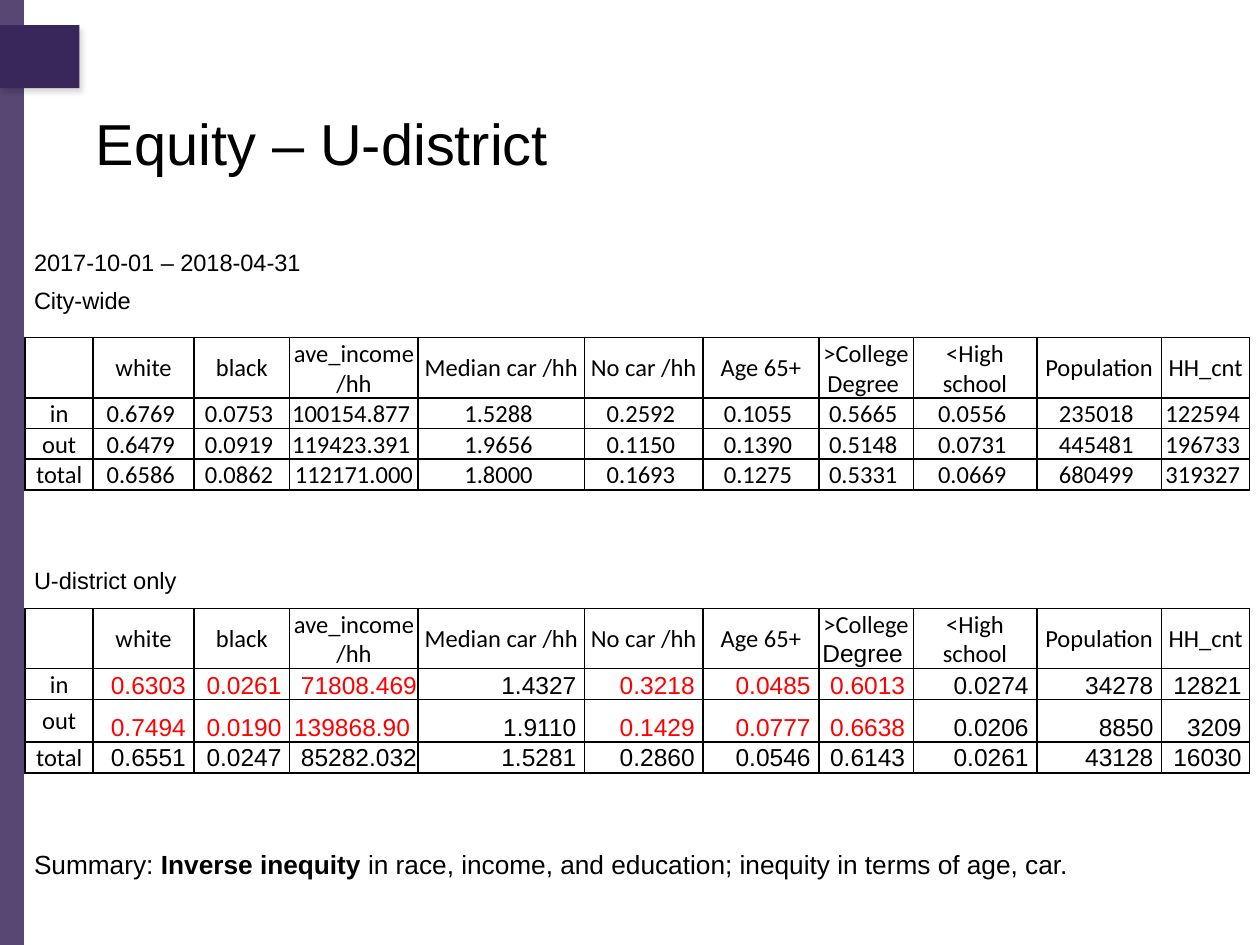
from lxml import etree
from pptx import Presentation
from pptx.dml.color import RGBColor
from pptx.enum import shapes, text
from pptx.oxml import ns
from pptx.util import Inches, Pt

BLACK, RED, PURPLE = "000000", "FF0000", "39275B"
LEFT, MID, RIGHT = text.PP_ALIGN.LEFT, text.PP_ALIGN.CENTER, text.PP_ALIGN.RIGHT
CENTRE, BASE = text.MSO_ANCHOR.MIDDLE, text.MSO_ANCHOR.BOTTOM

COLS = [0.54, 0.8, 0.76, 1.02, 1.32, 0.94, 0.92, 0.75, 0.98, 0.99, 0.7]
HEAD = ["", "white", "black", "ave_income /hh", "Median car /hh", "No car /hh",
        "Age 65+", ">College\nDegree ", "<High school", "Population", "HH_cnt"]
# The space after a figure keeps it off the cell's edge
CITY = [
    "in|0.6769 |0.0753 |100154.877 |1.5288 |0.2592 |0.1055 |0.5665 |0.0556 |235018 |122594 ",
    "out|0.6479 |0.0919 |119423.391 |1.9656 |0.1150 |0.1390 |0.5148 |0.0731 |445481 |196733 ",
    "total|0.6586 |0.0862 |112171.000|1.8000 |0.1693 |0.1275 |0.5331 |0.0669 |680499 |319327 ",
]
AREA = [
    "in|0.6303 |0.0261 |71808.469|1.4327 |0.3218 |0.0485 |0.6013 |0.0274 |34278 |12821 ",
    "out|0.7494 |0.0190 |139868.90 |1.9110 |0.1429 |0.0777 |0.6638 |0.0206 |8850 |3209 ",
    "total|0.6551 |0.0247 |85282.032|1.5281 |0.2860 |0.0546 |0.6143 |0.0261 |43128 |16030 ",
]
RED_COLS = {1, 2, 3, 5, 6, 7}


def color(code):
    return RGBColor.from_string(code)


def add_run(par, words, size, font="Arial", tint=BLACK, bold=False):
    run = par.add_run()
    run.text = words
    run.font.size, run.font.name, run.font.bold = Pt(size), font, bold
    run.font.color.rgb = color(tint)


def add_text(slide, box, runs, size, anchor=text.MSO_ANCHOR.TOP, lead=1.0):
    """Place one line of (words, bold) runs in a box."""
    frame = slide.shapes.add_textbox(*map(Inches, box)).text_frame
    frame.word_wrap = True
    frame.vertical_anchor = anchor
    frame.margin_left = frame.margin_right = Inches(0.07)
    frame.margin_top = frame.margin_bottom = Inches(0.04)
    par = frame.paragraphs[0]
    par.alignment, par.line_spacing = LEFT, lead
    for words, bold in runs:
        add_run(par, words, size, bold=bold)


def add_block(slide, box):
    shape = slide.shapes.add_shape(shapes.MSO_SHAPE.RECTANGLE, *map(Inches, box))
    shape.shadow.inherit = False
    shape.fill.solid()
    shape.fill.fore_color.rgb = color(PURPLE)
    shape.line.fill.background()
    return shape


def add_side(slide, box):
    """Purple strip down the edge, with a tab that casts a shadow."""
    left, top, wide, high = box
    strip = add_block(slide, box)
    tint = strip.fill._xPr.find(".//" + ns.qn("a:srgbClr"))
    etree.SubElement(tint, ns.qn("a:alpha"), val="85000")

    tab = add_block(slide, (left, top + 0.2, 0.63, 0.5))
    glow = tab._element.spPr.find(ns.qn("a:effectLst"))
    cast = etree.SubElement(glow, ns.qn("a:outerShdw"), blurRad=str(Pt(3)),
                            dist=str(Pt(3)), dir="3600000")
    shade = etree.SubElement(cast, ns.qn("a:srgbClr"), val=BLACK)
    etree.SubElement(shade, ns.qn("a:alpha"), val="15000")


def add_edges(cell):
    props = cell._tc.get_or_add_tcPr()
    for side in ("lnL", "lnR", "lnT", "lnB"):
        line = etree.SubElement(props, ns.qn("a:" + side), w=str(Pt(1)))
        fill = etree.SubElement(line, ns.qn("a:solidFill"))
        etree.SubElement(fill, ns.qn("a:srgbClr"), val=BLACK)


def fill_cell(cell, words, align, anchor, fonts, tint):
    add_edges(cell)
    cell.fill.background()
    cell.margin_left = cell.margin_right = cell.margin_top = Inches(0.01)
    cell.margin_bottom = 0
    cell.vertical_anchor = anchor
    frame = cell.text_frame
    for i, line in enumerate(words.split("\n")):
        par = frame.add_paragraph() if i else frame.paragraphs[0]
        par.alignment = align
        if line:
            add_run(par, line, 14, fonts[min(i, len(fonts) - 1)], tint)


def add_grid(slide, box, highs, rows, local=False):
    """Table of shares; the local one is right-aligned with red marks."""
    data = [HEAD] + [row.split("|") for row in rows]
    frame = slide.shapes.add_table(len(data), len(COLS), *map(Inches, box))
    table = frame.table
    table.first_row = table.horz_banding = False
    for col, wide in zip(table.columns, COLS):
        col.width = Inches(wide)
    for r, (row, high) in enumerate(zip(data, highs)):
        table.rows[r].height = Inches(high)
        for c, words in enumerate(row):
            label = r == 0 or c == 0
            align = RIGHT if local and not label else MID
            anchor = CENTRE if label or (local and r == 3) else BASE
            fonts = ["Calibri"]
            if local and r == 0:
                fonts = ["Calibri", "Arial"]
            elif local and not label:
                fonts = ["Arial"]
            red = local and r in (1, 2) and c in RED_COLS
            fill_cell(table.cell(r, c), words, align, anchor, fonts,
                      RED if red else BLACK)


def main():
    deck = Presentation()
    deck.slide_width, deck.slide_height = Inches(10), Inches(7.5)
    slide = deck.slides.add_slide(deck.slide_layouts[6])

    # Edge and title
    add_side(slide, (0, 0, 0.19, 7.5))
    add_text(slide, (0.69, 0.62, 8.62, 1.09), [("Equity – U-district", False)],
             33, CENTRE, 0.9)

    # City-wide table
    add_text(slide, (0.2, 1.93, 2.91, 0.31), [("2017-10-01 – 2018-04-31", False)], 13.5)
    add_text(slide, (0.2, 2.23, 1.22, 0.31), [("City-wide", False)], 13.5)
    add_grid(slide, (0.2, 2.68, 9.7, 1.19), [0.46, 0.23, 0.23, 0.23], CITY)

    # U-district table
    add_text(slide, (0.2, 4.45, 2.08, 0.33), [("U-district only", False)], 13.5)
    add_grid(slide, (0.2, 4.83, 9.7, 1.3), [0.46, 0.23, 0.34, 0.23], AREA, local=True)

    # Summary
    add_text(slide, (0.2, 6.69, 8.65, 0.33), [
        ("Summary: ", False),
        ("Inverse inequity ", True),
        ("in race, income, and education; inequity in terms of age, car.", False),
    ], 15)
    deck.save("out.pptx")


if __name__ == "__main__":
    main()
